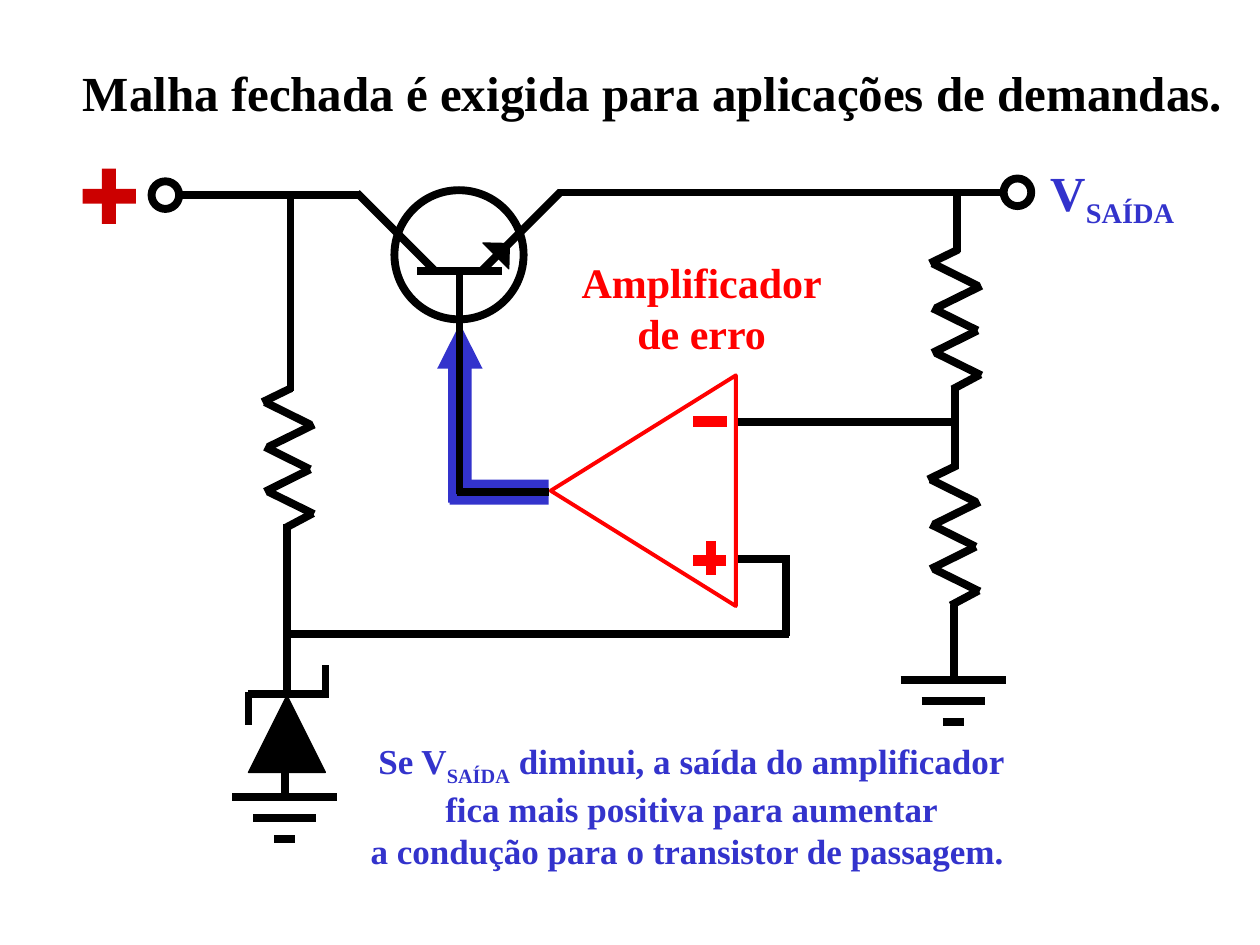
from lxml import etree
from pptx import Presentation
from pptx.dml.color import RGBColor
from pptx.enum.shapes import MSO_CONNECTOR, MSO_SHAPE
from pptx.enum.text import MSO_ANCHOR, MSO_AUTO_SIZE, PP_ALIGN
from pptx.oxml.ns import qn
from pptx.util import Pt

STRAIGHT = MSO_CONNECTOR.STRAIGHT
RECT, OVAL = MSO_SHAPE.RECTANGLE, MSO_SHAPE.OVAL
TRIANGLE, RIGHT_TRIANGLE = MSO_SHAPE.ISOSCELES_TRIANGLE, MSO_SHAPE.RIGHT_TRIANGLE
UP_ARROW = MSO_SHAPE.UP_ARROW
LEFT, CENTER = PP_ALIGN.LEFT, PP_ALIGN.CENTER
TOP, NO_RESIZE = MSO_ANCHOR.TOP, MSO_AUTO_SIZE.NONE

COLORS = {"black": "000000", "blue": "3333CC", "red": "FF0000", "dark_red": "CC0000"}
FONT = "Times New Roman"
WIRE = 4.5


def rgb(name):
    return RGBColor.from_string(COLORS[name])


class Circuit:
    """Draws circuit parts on one slide; all lengths are in points."""

    def __init__(self, slide):
        self.shapes = slide.shapes

    def paint(self, s, fill, line, weight):
        s.shadow.inherit = False
        if fill:
            s.fill.solid()
            s.fill.fore_color.rgb = rgb(fill)
        else:
            s.fill.background()
        if line:
            s.line.color.rgb = rgb(line)
            s.line.width = Pt(weight)
        else:
            s.line.fill.background()

    def shape(self, kind, x, y, w, h, fill=None, line=None, weight=WIRE, turn=0, adj=()):
        s = self.shapes.add_shape(kind, Pt(x), Pt(y), Pt(w), Pt(h))
        for i, value in enumerate(adj):
            s.adjustments[i] = value
        s.rotation = turn
        self.paint(s, fill, line, weight)

    def wire(self, x1, y1, x2, y2, color="black", weight=WIRE):
        c = self.shapes.add_connector(STRAIGHT, Pt(x1), Pt(y1), Pt(x2), Pt(y2))
        c.line.color.rgb = rgb(color)
        c.line.width = Pt(weight)
        etree.SubElement(c._element.spPr, qn("a:effectLst"))

    def lead(self, x1, y1, x2, y2):
        builder = self.shapes.build_freeform(Pt(x1), Pt(y1))
        builder.add_line_segments([(Pt(x2), Pt(y2))], close=False)
        self.paint(builder.convert_to_shape(), None, "black", WIRE)

    def resistor(self, x, y):
        step = 12.8
        zigzag = [(0, 25.8), (28, 2), (0, 25.8), (25.8, 0), (2, 28)]
        for i, (start, end) in enumerate(zigzag):
            top = y + 8 + i * step
            self.wire(x + start, top, x + end, top + step)
        self.lead(x + 15, y, x - 1.4, y + 8)
        self.lead(x + 27.5, y + 71.5, x + 11.5, y + 80)

    def ground(self, x, y):
        for i, half in enumerate((30, 18, 6)):
            self.wire(x - half, y + 12 * i, x + half, y + 12 * i)

    def text(self, x, y, w, h, lines, size, color, align=CENTER):
        """Each line is a list of runs; a run starting with "_" is a subscript."""
        tf = self.shapes.add_textbox(Pt(x), Pt(y), Pt(w), Pt(h)).text_frame
        tf.word_wrap = False
        tf.auto_size = NO_RESIZE
        tf.vertical_anchor = TOP
        for i, runs in enumerate(lines):
            p = tf.paragraphs[0] if i == 0 else tf.add_paragraph()
            p.alignment = align
            p.font.name, p.font.size, p.font.bold = FONT, Pt(size), True
            p.font.color.rgb = rgb(color)
            for run in runs:
                r = p.add_run()
                r.text = run.lstrip("_")
                if run.startswith("_"):
                    r.font._element.set("baseline", "-25000")


def main():
    prs = Presentation()
    prs.slide_width, prs.slide_height = Pt(720), Pt(540)
    c = Circuit(prs.slides.add_slide(prs.slide_layouts[6]))

    # Feedback arrow to the transistor base
    c.shape(UP_ARROW, 249.8, 185, 26, 102.2, "blue", adj=(0.515, 0.99))
    c.shape(RECT, 257, 274.1, 56.5, 14.3, "blue")

    # Error amplifier with its minus and plus inputs
    c.shape(TRIANGLE, 301.7, 227.5, 131.8, 105.8, line="red", weight=2.25, turn=270)
    for x1, y1, x2, y2 in [(415.2, 241, 396, 241), (415, 320.4, 396, 320.4),
                           (406.2, 328.5, 406.2, 309.4)]:
        c.wire(x1, y1, x2, y2, "red", 6)
    c.text(325.4, 143.3, 151.2, 93.6, [["Amplificador"], ["de erro"]], 24, "red")

    # Pass transistor
    c.wire(238.3, 154.8, 286.8, 154.8)
    c.wire(275.6, 154.4, 320.4, 109.6)
    c.shape(RIGHT_TRIANGLE, 275.8, 139, 15.1, 14.4, "black", "black", 0.75, 181.3)
    c.wire(248.6, 154.8, 204, 110.2)
    c.shape(OVAL, 225.4, 108.7, 73.8, 73.8, line="black")
    c.wire(262.6, 154.8, 262.6, 282.3)

    # Zener diode
    c.shape(TRIANGLE, 142, 397.4, 44, 44, "black", "black", 0.75)
    c.wire(142, 395.4, 142, 414.2)
    c.wire(186, 399, 186, 380.2)
    c.wire(142, 396.8, 186, 396.8)

    # Resistors and grounds
    for x, y in [(532.8, 142.5), (531.8, 266), (151.4, 221.8)]:
        c.resistor(x, y)
    c.ground(162.7, 455.5)
    c.ground(544.6, 388.6)

    # Wiring
    for ends in [
        (545.8, 221, 545.8, 267.8),   # between divider resistors
        (545, 345.6, 545, 386.6),     # divider to ground
        (319, 110, 572.4, 110),       # output rail
        (421.9, 241, 545.8, 241),     # divider to minus input
        (165.6, 362.3, 450.7, 362.3),  # reference to plus input
        (449.3, 363.6, 449.3, 318.2),
        (451.4, 319.2, 421.9, 319.2),
        (163, 456.5, 163, 427.7),     # diode to ground
        (261.4, 281.3, 314, 281.3),   # amplifier output
        (547, 144, 547, 110),         # output rail to divider
        (205.2, 111.4, 100, 111.4),   # input rail
        (164.2, 396.7, 164.2, 299.5),  # resistor to diode
        (166, 223.2, 166, 110.2),     # input rail to resistor
    ]:
        c.wire(*ends)

    # Input terminal with plus sign
    c.shape(RECT, 46.3, 108.2, 31.7, 8, "dark_red", turn=90)
    c.shape(RECT, 47.3, 108, 30.4, 8.4, "dark_red")
    c.shape(OVAL, 86.6, 103.6, 15.8, 15.8, line="black")

    # Title
    c.text(40.3, 32.4, 665.3, 41,
           [["Malha fechada é exigida para aplicações de demandas."]], 28, "black", LEFT)

    # Output terminal and its label
    c.shape(OVAL, 573.5, 102, 15.8, 15.8, line="black")
    c.text(593.3, 89.3, 85, 45.4, [["V", "_SAÍDA"]], 28, "blue", LEFT)

    # Explanation
    c.text(204.5, 419, 381.6, 82.8, [
        ["Se V", "_SAÍDA", " diminui, a saída do amplificador"],
        ["fica mais positiva para aumentar"],
        ["a condução para o transistor de passagem. "],
    ], 20, "blue")

    prs.save("out.pptx")


if __name__ == "__main__":
    main()
